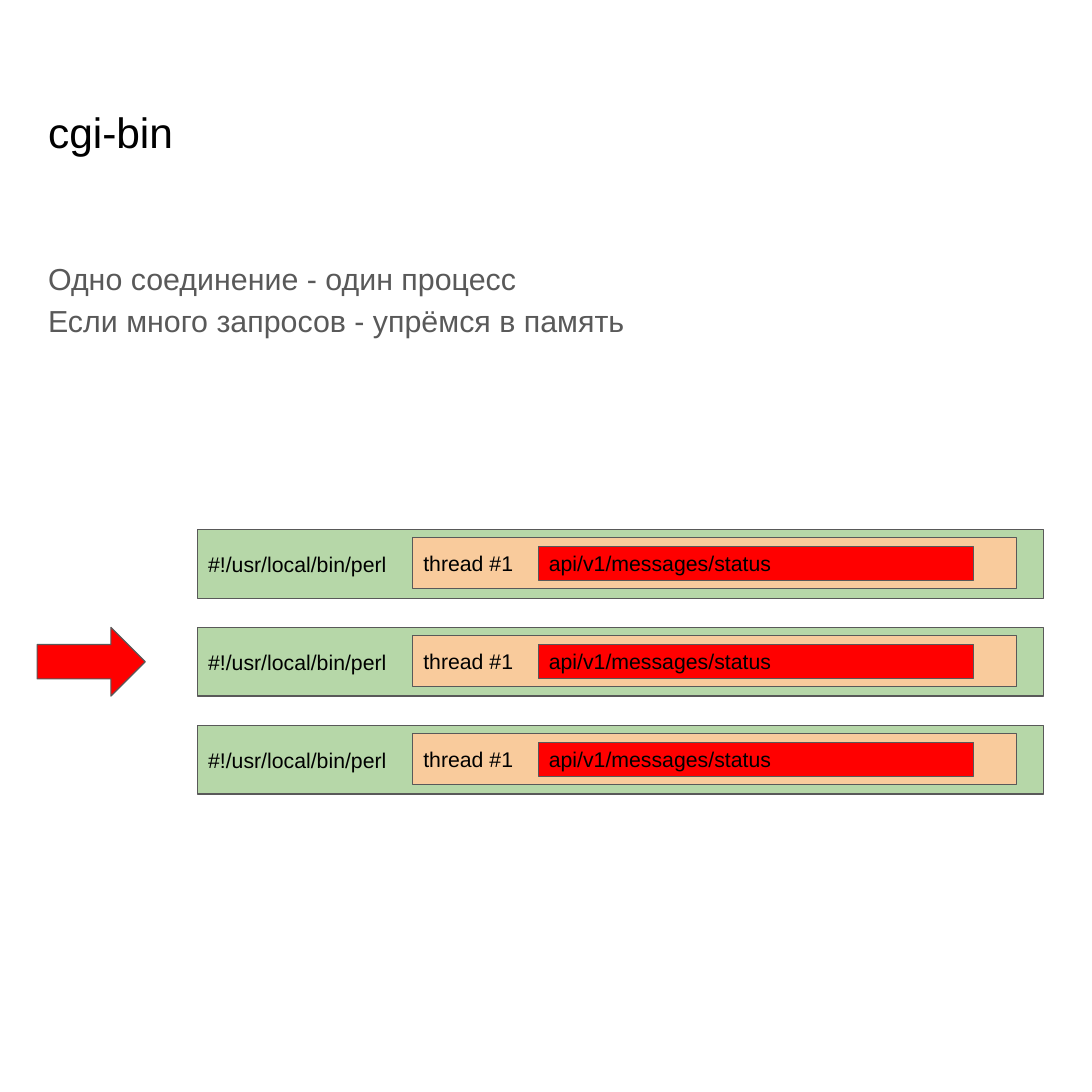
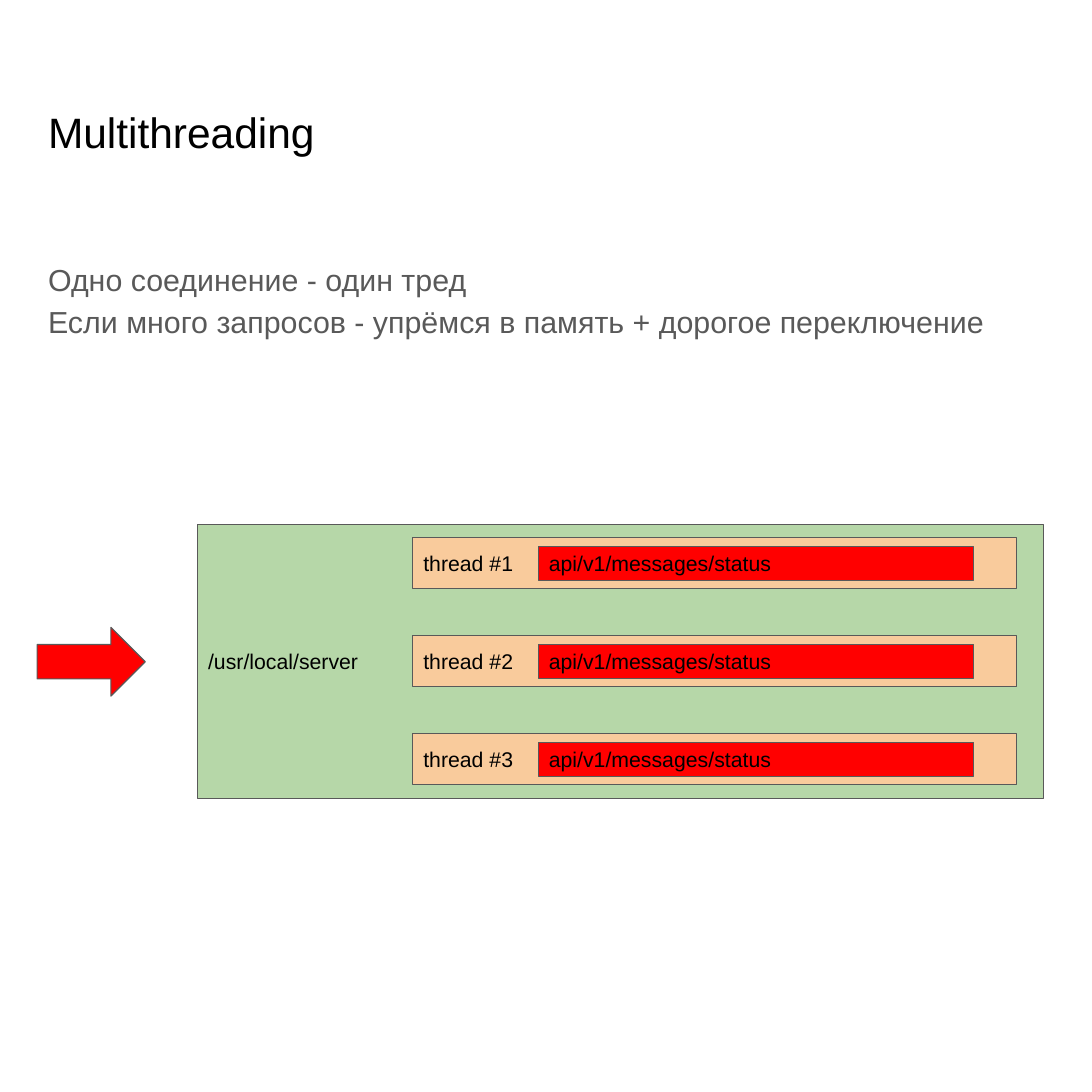
import lxml.etree
import pptx
import pptx.dml.color
import pptx.enum.shapes
import pptx.enum.text
import pptx.oxml.ns
import pptx.util

Pt = pptx.util.Pt
Shapes = pptx.enum.shapes.MSO_SHAPE
Anchor = pptx.enum.text.MSO_ANCHOR

# Vertical rhythm of the three request rows
ROW_TOP = 349.1
ROW_PITCH = 64.6
ROW_HEIGHT = 45.3
ROW_TOPS = [ROW_TOP + row * ROW_PITCH for row in range(3)]


def color(value):
    return pptx.dml.color.RGBColor.from_string(value)


class Deck:
    """Holds the shared style and the slide being built."""

    FONT = "Arial"
    BLACK = "000000"
    GREY = "595959"
    PROCESS = "B6D7A8"
    THREAD = "F9CB9C"
    REQUEST = "FF0000"
    LEFT = 24.5
    CONTENT_WIDTH = 671

    def __init__(self):
        self.presentation = pptx.Presentation()
        self.presentation.slide_width = Pt(720)
        self.presentation.slide_height = Pt(720)
        self.slide = None

    def add_slide(self, title, lines, body_top):
        layout = self.presentation.slide_layouts[1]
        self.slide = self.presentation.slides.add_slide(layout)
        self.title(title)
        self.body(lines, body_top)

    def set_text(self, shape, text, size, text_color, anchor):
        frame = shape.text_frame
        frame.word_wrap = True
        frame.auto_size = pptx.enum.text.MSO_AUTO_SIZE.NONE
        frame.vertical_anchor = anchor
        frame.margin_left = frame.margin_right = Pt(7.2)
        frame.margin_top = frame.margin_bottom = Pt(7.2)
        paragraph = frame.paragraphs[0]
        paragraph.text = text
        paragraph.alignment = pptx.enum.text.PP_ALIGN.LEFT
        paragraph.font.name = self.FONT
        paragraph.font.size = Pt(size)
        paragraph.font.color.rgb = color(text_color)
        return paragraph

    def place(self, shape, top, height):
        shape.left, shape.top = Pt(self.LEFT), Pt(top)
        shape.width, shape.height = Pt(self.CONTENT_WIDTH), Pt(height)

    def title(self, text):
        shape = self.slide.shapes.title
        self.place(shape, 62.6, 80)
        self.set_text(shape, text, 28, self.BLACK, Anchor.TOP)

    def body(self, lines, top):
        shape = self.slide.placeholders[1]
        self.place(shape, top, 157.7)
        paragraph = self.set_text(shape, "\v".join(lines), 20, self.GREY, Anchor.TOP)
        paragraph.line_spacing = 1.15
        paragraph.space_before = Pt(0)
        paragraph.space_after = Pt(16)
        # Plain text: no bullet and no hanging indent
        properties = paragraph._p.get_or_add_pPr()
        properties.set("marL", "0")
        properties.set("indent", "0")
        bullet = lxml.etree.Element(pptx.oxml.ns.qn("a:buNone"))
        properties.find(pptx.oxml.ns.qn("a:spcAft")).addnext(bullet)

    def block(self, kind, left, top, width, height, fill):
        shape = self.slide.shapes.add_shape(
            kind, Pt(left), Pt(top), Pt(width), Pt(height))
        shape.shadow.inherit = False
        shape.fill.solid()
        shape.fill.fore_color.rgb = color(fill)
        shape.line.color.rgb = color(self.GREY)
        shape.line.width = Pt(0.75)
        return shape

    def label_box(self, text, left, top, width, height, fill):
        shape = self.block(Shapes.RECTANGLE, left, top, width, height, fill)
        self.set_text(shape, text, 14, self.BLACK, Anchor.MIDDLE)

    def process(self, text, top, height):
        self.label_box(text, 130.1, top, 558, height, self.PROCESS)

    def thread(self, number, row_top):
        self.label_box(f"thread #{number}", 272, row_top + 5.5, 398.4, 33.4,
                       self.THREAD)
        self.label_box("api/v1/messages/status", 354.8, row_top + 11.1, 287.2, 22.4,
                       self.REQUEST)

    def incoming_arrow(self):
        self.block(Shapes.RIGHT_ARROW, self.LEFT, ROW_TOPS[1], 71.3, ROW_HEIGHT,
                   self.REQUEST)


def main():
    deck = Deck()

    # One process per connection
    deck.add_slide("cgi-bin", ["Одно соединение - один процесс",
                               "Если много запросов - упрёмся в память"], 160.6)
    deck.incoming_arrow()
    for row_top in ROW_TOPS:
        deck.process("#!/usr/local/bin/perl", row_top, ROW_HEIGHT)
        deck.thread(1, row_top)

    # One process with a thread per connection
    deck.add_slide("Multithreading", [
        "Одно соединение - один тред",
        "Если много запросов - упрёмся в память + дорогое переключение"], 161.2)
    deck.process("/usr/local/server", 345.8, 180.7)
    deck.incoming_arrow()
    for number, row_top in enumerate(ROW_TOPS, start=1):
        deck.thread(number, row_top)

    deck.presentation.save("out.pptx")


if __name__ == "__main__":
    main()
